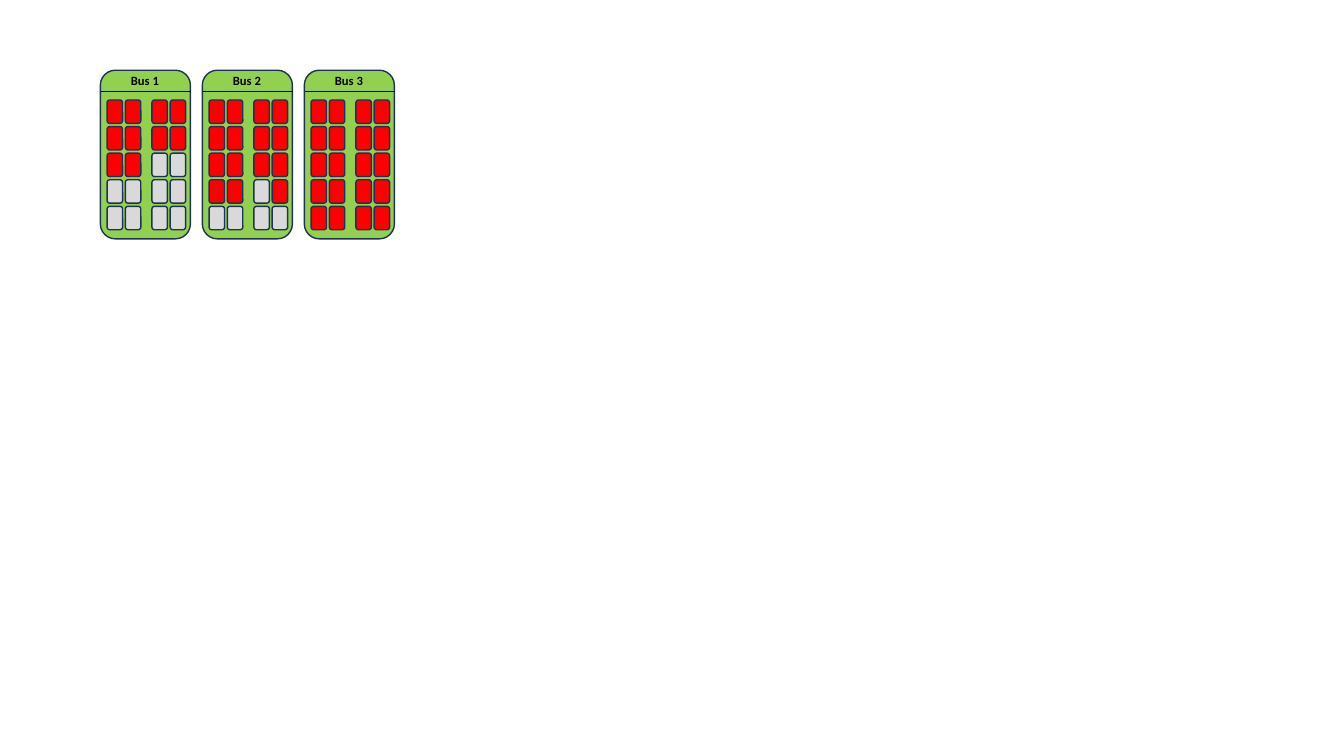
from pptx import Presentation
from pptx.dml.color import RGBColor
from pptx.enum.shapes import MSO_CONNECTOR, MSO_SHAPE
from pptx.enum.text import MSO_AUTO_SIZE
from pptx.oxml.ns import qn
from pptx.util import Cm, Pt
from lxml import etree

ROUNDED = MSO_SHAPE.ROUNDED_RECTANGLE
STRAIGHT = MSO_CONNECTOR.STRAIGHT
FIT_TEXT = MSO_AUTO_SIZE.SHAPE_TO_FIT_TEXT

COLORS = {
    "bus": "92D050",
    "taken": "FF0000",
    "free": "D9D9D9",
    "outline": "1E3256",
    "black": "000000",
}

# Seat rows from front to back: x is taken, o is free
BUSES = {
    "Bus 1": ["xxxx", "xxxx", "xxoo", "oooo", "oooo"],
    "Bus 2": ["xxxx", "xxxx", "xxxx", "xxox", "oooo"],
    "Bus 3": ["xxxx"] * 5,
}

# Lengths in centimetres
BUS_LEFT, BUS_TOP, BUS_PITCH = 2.53, 1.77, 2.57
BUS_WIDTH, BUS_HEIGHT = 2.27, 4.25
HEADER_Y = 2.31
SEAT_OFFSETS = [0.17, 0.63, 1.3, 1.76]
SEAT_TOP, SEAT_PITCH = 2.52, 0.67
SEAT_WIDTH, SEAT_HEIGHT = 0.39, 0.59


def color(name):
    """Return the named colour as an RGBColor."""
    return RGBColor.from_string(COLORS[name])


def add_rounded(left, top, width, height, fill):
    """Add an outlined rounded rectangle, with lengths in centimetres."""
    s = slide.shapes.add_shape(ROUNDED, Cm(left), Cm(top), Cm(width), Cm(height))
    s.shadow.inherit = False
    s.fill.solid()
    s.fill.fore_color.rgb = color(fill)
    s.line.color.rgb = color("outline")
    s.line.width = Pt(1)


prs = Presentation()
prs.slide_width, prs.slide_height = Cm(33.87), Cm(19.05)
slide = prs.slides.add_slide(prs.slide_layouts[6])

for i, (name, rows) in enumerate(BUSES.items()):
    left = BUS_LEFT + i * BUS_PITCH
    add_rounded(left, BUS_TOP, BUS_WIDTH, BUS_HEIGHT, "bus")

    for row, seats in enumerate(rows):
        for offset, seat in zip(SEAT_OFFSETS, seats):
            add_rounded(left + offset, SEAT_TOP + row * SEAT_PITCH,
                        SEAT_WIDTH, SEAT_HEIGHT, "taken" if seat == "x" else "free")

    header = slide.shapes.add_connector(STRAIGHT, Cm(left + 0.02), Cm(HEADER_Y),
                                        Cm(left + BUS_WIDTH + 0.02), Cm(HEADER_Y))
    header.line.color.rgb = color("black")
    header.line.width = Pt(1)
    etree.SubElement(header._element.spPr, qn("a:effectLst"))

    label = slide.shapes.add_textbox(Cm(left + 0.52), Cm(1.71), Cm(1.22), Cm(0.64))
    tf = label.text_frame
    tf.word_wrap = False
    tf.auto_size = FIT_TEXT
    p = tf.paragraphs[0]
    p.text = name
    p.font.name = "Calibri"
    p.font.size = Pt(9)
    p.font.bold = True
    p.font.color.rgb = color("black")

prs.save("out.pptx")
